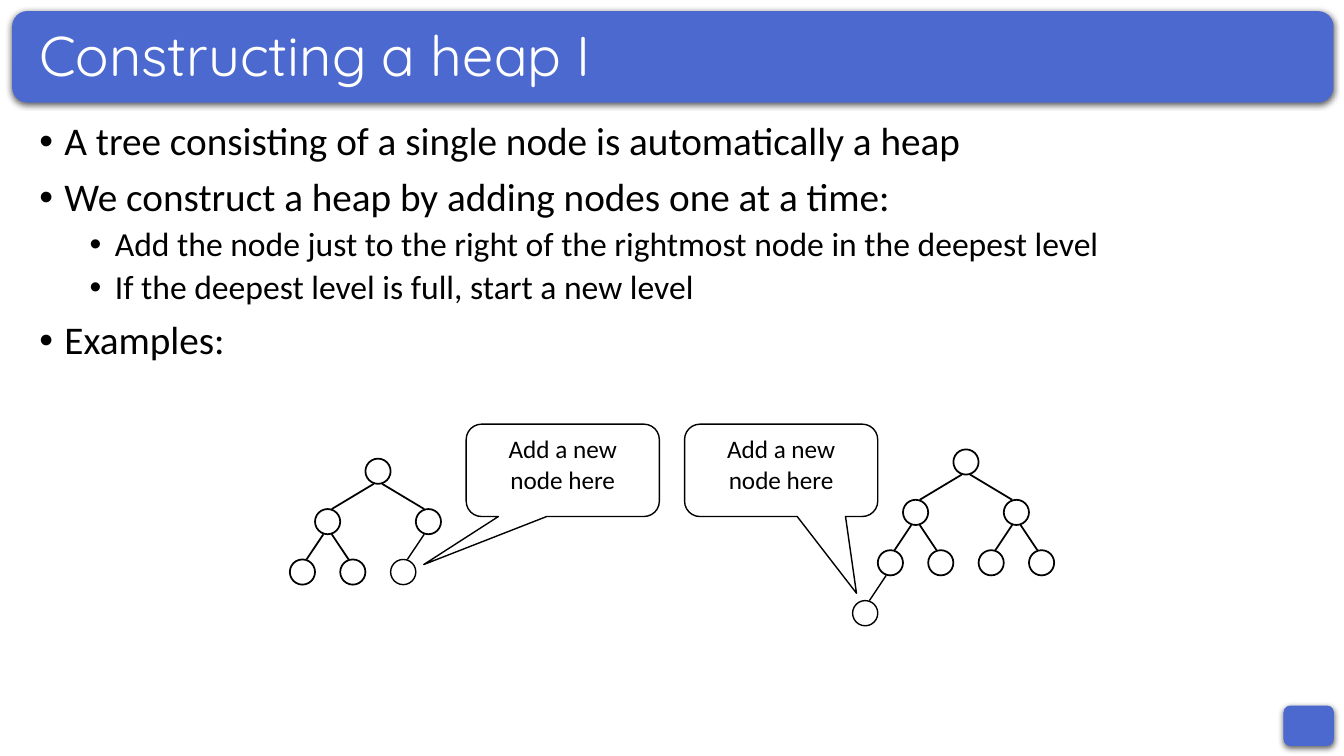
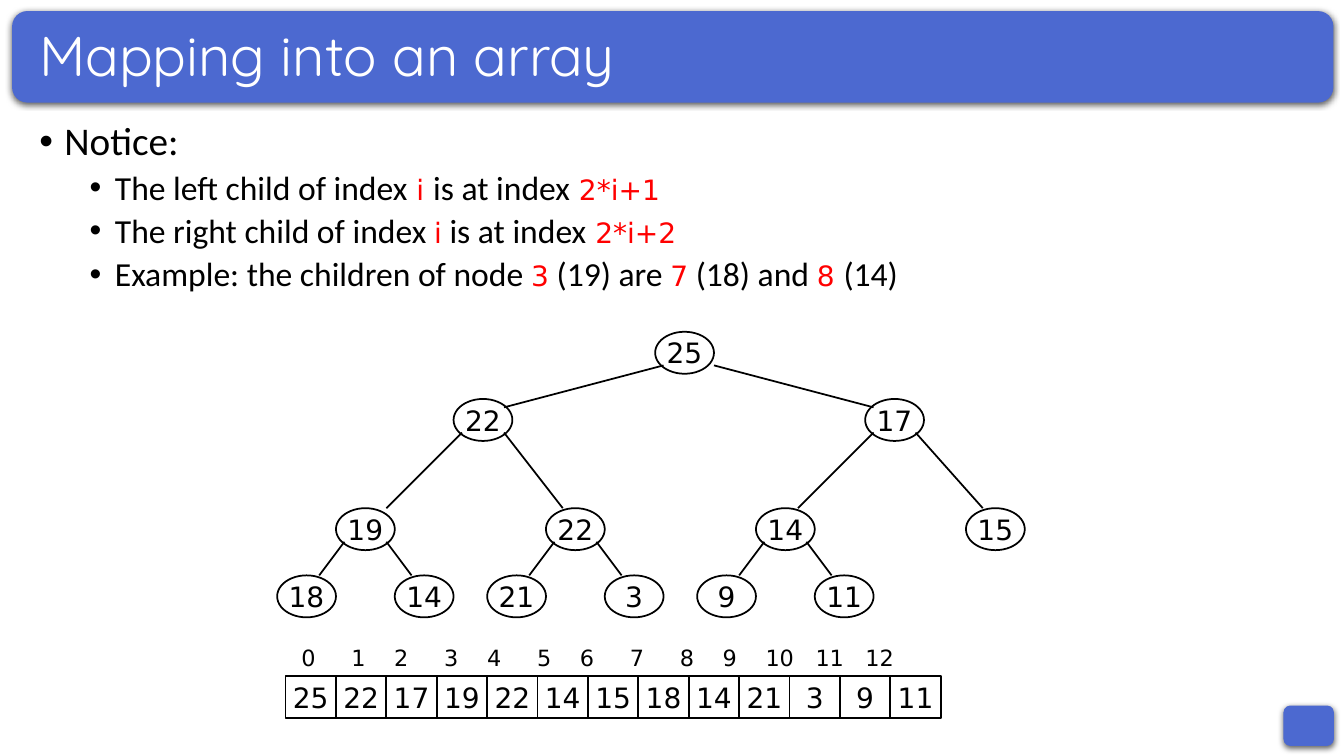
"""Build two slides on heaps, laid out on a grid of 160 columns by 90 rows."""
import itertools

import lxml.etree
import pptx
import pptx.dml.color
import pptx.enum.shapes
import pptx.enum.text
import pptx.oxml
import pptx.oxml.ns
import pptx.util

COLS, ROWS = 160, 90
BLUE, WHITE, BLACK, RED = "4C69D0", "FFFFFF", "000000", "FF0000"
SANS, CODE, HEAD = "Calibri", "DejaVu Sans", "Quicksand"
KIND = pptx.enum.shapes.MSO_SHAPE
ALIGN = pptx.enum.text.PP_ALIGN
ANCHOR = pptx.enum.text.MSO_ANCHOR
QN = pptx.oxml.ns.qn


def cell(count):
    """Turn grid cells, a twelfth of an inch each, into a length."""
    return pptx.util.Inches(count / 12)


def color(code):
    """Turn a hex string into a colour."""
    return pptx.dml.color.RGBColor.from_string(code)


def style(font, size, name, code):
    """Set the size, typeface and colour of a font."""
    font.size = pptx.util.Pt(size)
    font.name = name
    font.color.rgb = color(code)


def child(parent, tag, **attrs):
    """Append a drawing element with attributes."""
    return lxml.etree.SubElement(
        parent, QN(tag), {key: str(value) for key, value in attrs.items()})


def shape(slide, kind, box, fill=None, line=None):
    """Draw a flat preset shape, with a line width in points if any."""
    item = slide.shapes.add_shape(kind, *map(cell, box))
    item.shadow.inherit = False
    if fill:
        item.fill.solid()
        item.fill.fore_color.rgb = color(fill)
    else:
        item.fill.background()
    if line:
        item.line.color.rgb = color(BLACK)
        item.line.width = pptx.util.Pt(line)
    else:
        item.line.fill.background()
    return item


def label(item, text, size, name):
    """Write centred black text in a shape."""
    para = item.text_frame.paragraphs[0]
    para.text = text
    para.alignment = ALIGN.CENTER
    style(para.font, size, name, BLACK)


def value(item, text):
    """Write a number in the middle of a node or array slot."""
    item.text_frame.word_wrap = False
    item.text_frame.vertical_anchor = ANCHOR.MIDDLE
    label(item, text, 20, CODE)


def frame(slide, box):
    """Add a wrapping text box and return its text frame."""
    text = slide.shapes.add_textbox(*map(cell, box)).text_frame
    text.word_wrap = True
    return text


def edge(slide, start, end, width):
    """Draw a plain straight line between two grid points."""
    line = slide.shapes.add_connector(
        pptx.enum.shapes.MSO_CONNECTOR.STRAIGHT, *map(cell, start + end))
    line.line.color.rgb = color(BLACK)
    line.line.width = pptx.util.Pt(width)
    child(line._element.spPr, "a:effectLst")


def panel(slide, box):
    """Draw a blue rounded panel with a soft shadow below it."""
    item = shape(slide, KIND.ROUNDED_RECTANGLE, box, BLUE)
    glow = item._element.spPr.find(QN("a:effectLst"))
    shade = child(glow, "a:outerShdw", blurRad=57150, dist=19050,
                  dir=5400000, algn="t", rotWithShape=0)
    child(child(shade, "a:srgbClr", val=BLACK), "a:alpha", val=63000)


def page(deck, title):
    """Add a slide with the title band and the corner badge."""
    slide = deck.slides.add_slide(deck.slide_layouts[6])
    panel(slide, (152.8, 84, 6, 4.8))
    panel(slide, (1.44, 1.32, 157.3, 10.9))
    text = frame(slide, (3.5, 3, 153.1, 7.8))
    text.vertical_anchor = ANCHOR.MIDDLE
    para = text.paragraphs[0]
    para.text = title
    para.line_spacing = 0.9
    style(para.font, 40, HEAD, WHITE)
    return slide


def body(slide, items):
    """Write bullets from (level, text) pairs; odd parts between bars are code."""
    text = frame(slide, (3.5, 13.9, 153.1, 67.2))
    for rank, (level, words) in enumerate(items):
        para = text.add_paragraph() if rank else text.paragraphs[0]
        props = para._p.get_or_add_pPr()
        props.set("marL", str(cell(3 + 6 * level)))
        props.set("indent", str(cell(-3)))
        child(props, "a:buFont", typeface="Arial")
        child(props, "a:buChar", char="•")
        para.level = level
        para.line_spacing = 0.9
        if rank:
            para.space_before = pptx.util.Pt(5 if level else 10)
        size = 24 if level else 28
        style(para.font, size, SANS, BLACK)
        for turn, part in enumerate(words.split("|")):
            run = para.add_run()
            run.text = part
            if turn % 2:
                style(run.font, 20, CODE, RED)
            elif "|" in words:
                style(run.font, size, SANS, BLACK)


def link(slide, spots, index, size, foot, reach, width=1.25):
    """Join a node to its parent; reach is (out, into, drop) in cells."""
    wide = size[0] / 2
    left, top = spots[index]
    above, peak = spots[(index - 1) // 2]
    side = -1 if index % 2 else 1
    out, into, drop = reach
    edge(slide, (above + wide + side * out, peak + foot),
         (left + wide - side * into, top + drop), width)


def sketch(slide, root, count):
    """Draw a small blank tree whose last node is the one being added."""
    left, top = root
    shifts = (0, -6, 6, -9, -3, 3, 9, -12)
    spots = [(left + shift, top + 6 * ((rank + 1).bit_length() - 1))
             for rank, shift in enumerate(shifts[:count])]
    for rank, spot in enumerate(spots):
        fresh = rank == count - 1
        width = 1 if fresh else 1.25
        shape(slide, KIND.OVAL, spot + (3, 3), WHITE if fresh else None, width)
        if rank:
            link(slide, spots, rank, (3, 3), 3, (0.5, 0.5, 0), width)


def callout(slide, left, tip):
    """Draw a speech bubble that points at the place for a new node."""
    item = shape(slide, KIND.ROUNDED_RECTANGULAR_CALLOUT,
                 (left, 50.5, 23, 11), WHITE, 1)
    item.adjustments[0], item.adjustments[1] = tip
    item.text_frame.word_wrap = True
    item.text_frame.vertical_anchor = ANCHOR.TOP
    label(item, "Add a new node here", 18, SANS)


def heap(slide, values):
    """Draw the heap as a tree of numbered nodes."""
    size = (7, 5)
    spots = [(78, 39.5), (54, 47.5), (103, 47.5)]
    spots += [(40 + 25 * rank, 60.5) for rank in range(4)]
    spots += [(left + shift, 68.5) for left, _ in spots[3:6] for shift in (-7, 7)]
    reach = {1: (2.5, 2.5, 1), 2: (3.5, 2.5, 1), 3: (2.5, 2.5, 0)}
    for rank, (spot, number) in enumerate(zip(spots, values)):
        value(shape(slide, KIND.OVAL, spot + size, line=1.25), str(number))
        if rank:
            link(slide, spots, rank, size, 4, reach.get(rank, (2.5, 1.5, 0)))


def array(slide, values):
    """Draw the array slots under a row of tabbed indexes."""
    for rank, number in enumerate(values):
        slot = (34 + 6 * rank, 80.5, 6, 5)
        value(shape(slide, KIND.RECTANGLE, slot, line=1.25), str(number))
    para = frame(slide, (33, 76.1, 83, 4.4)).paragraphs[0]
    tabs = child(para._p.get_or_add_pPr(), "a:tabLst")
    steps = (3, 7, 6, 7, 6, 7, 6, 7, 7, 6, 7, 7, 7)
    for stop in itertools.accumulate(steps):
        child(tabs, "a:tab", pos=cell(0.85 * stop), algn="ctr")
    para.text = "".join(f"\t{rank}" for rank in range(len(values)))
    style(para.font, 16, CODE, BLACK)


def main():
    """Build both slides and save them."""
    deck = pptx.Presentation()
    deck.slide_width, deck.slide_height = cell(COLS), cell(ROWS)

    slide = page(deck, "Constructing a heap I")
    sketch(slide, (113.5, 53.5), 8)
    sketch(slide, (43.5, 54.6), 6)
    callout(slide, 55.5, (-0.72, 1.02))
    callout(slide, 81.5, (0.39, 1.33))
    body(slide, [
        (0, "A tree consisting of a single node is automatically a heap"),
        (0, "We construct a heap by adding nodes one at a time:"),
        (1, "Add the node just to the right of the rightmost node in the deepest level"),
        (1, "If the deepest level is full, start a new level"),
        (0, "Examples:"),
    ])

    slide = page(deck, "Mapping into an array")
    values = (25, 22, 17, 19, 22, 14, 15, 18, 14, 21, 3, 9, 11)
    heap(slide, values)
    array(slide, values)
    body(slide, [
        (0, "Notice:"),
        (1, "The left child of index| i |is at index| 2*i+1"),
        (1, "The right child of index |i| is at index| 2*i+2"),
        (1, "Example: the children of node |3| (19) are |7| (18) and |8 |(14)"),
    ])
    deck.save("out.pptx")


if __name__ == "__main__":
    main()
